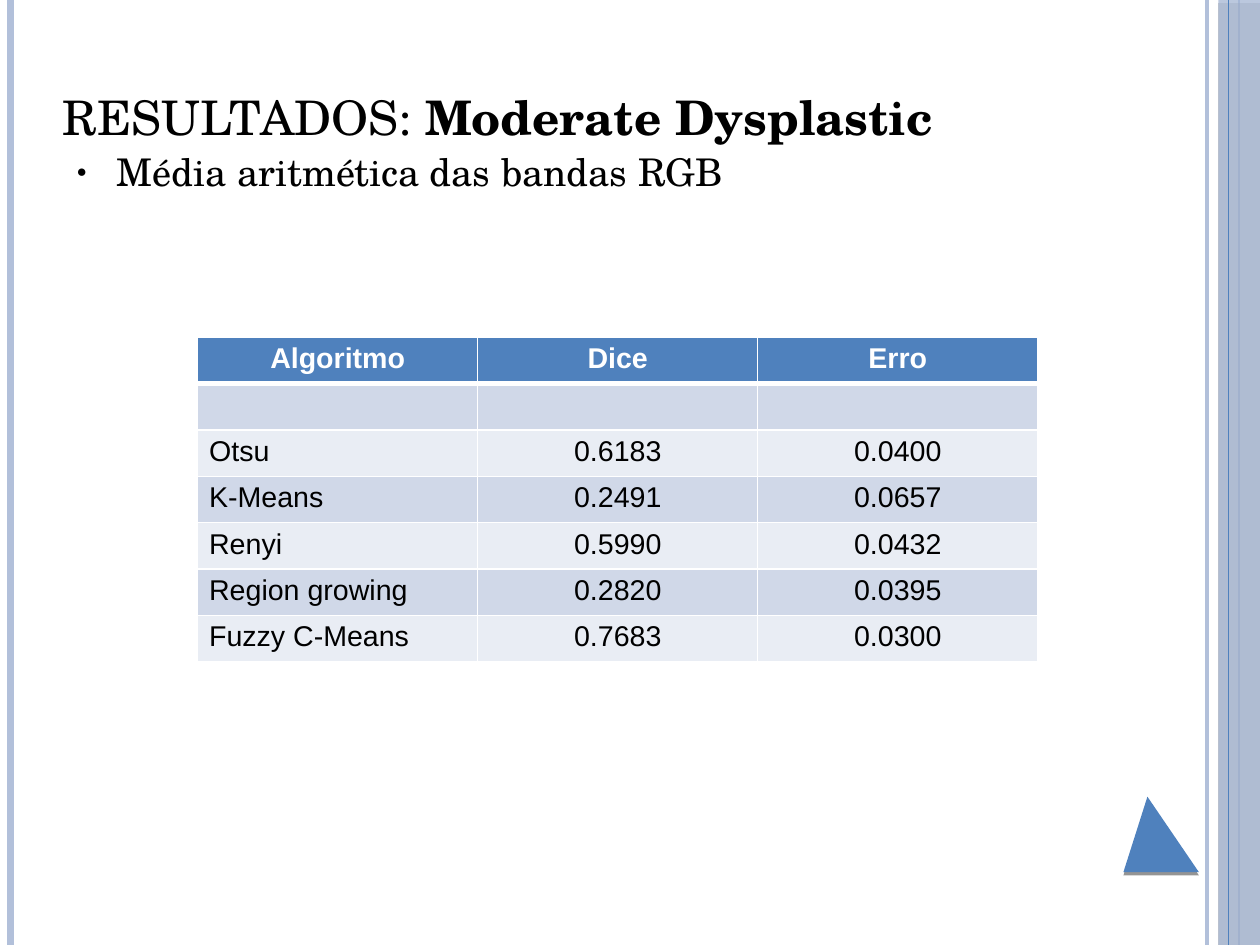
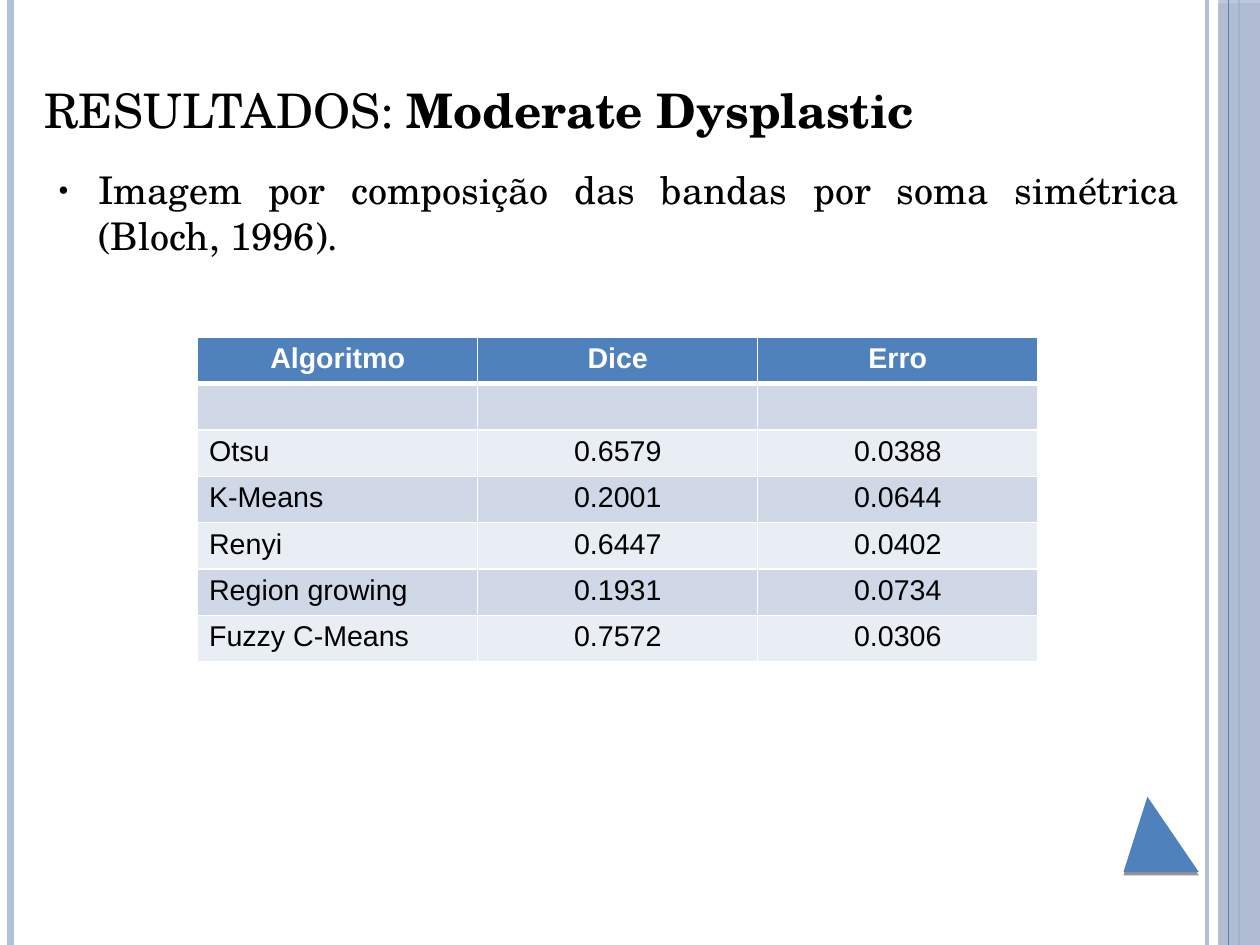
from dataclasses import dataclass

from lxml import etree
from pptx import Presentation
from pptx import util as u
from pptx.dml.color import RGBColor
from pptx.enum import shapes, text
from pptx.oxml import ns

Inches, Pt = u.Inches, u.Pt


@dataclass(frozen=True)
class Theme:
    accent: str = "4F81BD"
    pale: str = "B2C0DA"
    band_dark: str = "D0D8E8"
    band_light: str = "E9EDF4"
    white: str = "FFFFFF"
    black: str = "000000"
    heading_font: str = "TeX Gyre Schola"
    table_font: str = "Arial"
    title_size: float = 30
    body_size: float = 24
    table_size: float = 18


@dataclass(frozen=True)
class Rule:
    x: float
    color: str
    weight: float


@dataclass(frozen=True)
class Result:
    algorithm: str
    dice: str
    error: str


@dataclass(frozen=True)
class ResultPage:
    left: float
    title_top: float
    body_top: float
    subject: str
    results: tuple[Result, ...]


THEME = Theme()
PAGE_WIDTH, PAGE_HEIGHT = u.Emu(10080625), u.Emu(7559675)
TEXT_WIDTH, TEXT_HEIGHT = 9.92, 1.38
TABLE_LEFT, TABLE_TOP, TABLE_WIDTH, TABLE_HEIGHT = 1.73, 2.95, 7.35, 2.84
HEADER = ("Algoritmo", "Dice", "Erro")
BACK_RULES = (
    Rule(10.56, THEME.pale, 3),
    Rule(0.09, THEME.pale, 4.5),
    Rule(10.84, THEME.accent, 1.5),
)
FRONT_RULE = Rule(10.75, THEME.accent, 0.75)
TRIANGLE = ((9.83, 7.63), (10.49, 7.63), (10.04, 6.97))

PAGES = (
    ResultPage(0.55, 0.33, 1.3, "Média aritmética das bandas RGB", (
        Result("Otsu", "0.6183", "0.0400"),
        Result("K-Means", "0.2491", "0.0657"),
        Result("Renyi", "0.5990", "0.0432"),
        Result("Region growing", "0.2820", "0.0395"),
        Result("Fuzzy C-Means", "0.7683", "0.0300"),
    )),
    ResultPage(
        0.39, 0.27, 1.46,
        "Imagem por composição das bandas por soma simétrica (Bloch, 1996).", (
            Result("Otsu", "0.6579", "0.0388"),
            Result("K-Means", "0.2001", "0.0644"),
            Result("Renyi", "0.6447", "0.0402"),
            Result("Region growing", "0.1931", "0.0734"),
            Result("Fuzzy C-Means", "0.7572", "0.0306"),
        )),
)


def rgb(color: str) -> RGBColor:
    return RGBColor.from_string(color)


def add_xml(parent, tag: str, **attributes):
    values = {name: str(value) for name, value in attributes.items()}
    return etree.SubElement(parent, ns.qn(tag), values)


def set_font(para, name: str, size: float, color: str, bold: bool = False) -> None:
    para.font.name = name
    para.font.size = Pt(size)
    para.font.bold = bold
    para.font.color.rgb = rgb(color)


def fill_with_shadow(shape, color: str) -> None:
    shape.fill.solid()
    shape.fill.fore_color.rgb = rgb(color)
    shape.line.fill.background()
    shape.shadow.inherit = False
    effects = shape.element.spPr.find(ns.qn("a:effectLst"))
    shadow = add_xml(effects, "a:outerShdw", blurRad=0, dist=Pt(2),
                     dir=5400000, rotWithShape=0)
    tint = add_xml(shadow, "a:srgbClr", val=THEME.black)
    add_xml(tint, "a:alpha", val=41000)


def add_rule(page, rule: Rule) -> None:
    line = page.shapes.add_connector(
        shapes.MSO_CONNECTOR.STRAIGHT,
        Inches(rule.x), Inches(0), Inches(rule.x), PAGE_HEIGHT)
    line.line.color.rgb = rgb(rule.color)
    line.line.width = Pt(rule.weight)
    add_xml(line.element.spPr, "a:effectLst")


def add_frame(page) -> None:
    for rule in BACK_RULES:
        add_rule(page, rule)
    strip = page.shapes.add_shape(
        shapes.MSO_SHAPE.RECTANGLE,
        Inches(10.66), Inches(0), Inches(0.37), PAGE_HEIGHT)
    fill_with_shadow(strip, THEME.pale)
    tint = strip.element.spPr.find(ns.qn("a:solidFill"))[0]
    add_xml(tint, "a:alpha", val=87000)
    add_rule(page, FRONT_RULE)
    start, *corners = [(Inches(x), Inches(y)) for x, y in TRIANGLE]
    builder = page.shapes.build_freeform(*start)
    builder.add_line_segments(corners)
    fill_with_shadow(builder.convert_to_shape(), THEME.accent)


def add_text_box(page, left: float, top: float, anchor):
    box = page.shapes.add_textbox(
        Inches(left), Inches(top), Inches(TEXT_WIDTH), Inches(TEXT_HEIGHT))
    frame = box.text_frame
    frame.word_wrap = True
    frame.vertical_anchor = anchor
    frame.margin_left = frame.margin_right = Inches(0)
    frame.margin_top = frame.margin_bottom = Inches(0)
    return frame.paragraphs[0]


def add_title(page, left: float, top: float) -> None:
    para = add_text_box(page, left, top, text.MSO_ANCHOR.MIDDLE)
    set_font(para, THEME.heading_font, THEME.title_size, THEME.black)
    para.add_run().text = "RESULTADOS: "
    span = para.add_run()
    span.text = "Moderate Dysplastic"
    span.font.bold = True


def add_subject(page, left: float, top: float, subject: str) -> None:
    para = add_text_box(page, left, top, text.MSO_ANCHOR.TOP)
    para.alignment = text.PP_ALIGN.JUSTIFY
    para.add_run().text = subject
    properties = para._p.get_or_add_pPr()
    properties.set("marL", str(Inches(0.47)))
    properties.set("indent", str(Inches(-0.35)))
    bullet_color = add_xml(properties, "a:buClr")
    add_xml(bullet_color, "a:srgbClr", val=THEME.black)
    add_xml(properties, "a:buSzPct", val=45000)
    add_xml(properties, "a:buFont", typeface=THEME.table_font)
    add_xml(properties, "a:buChar", char="●")
    set_font(para, THEME.heading_font, THEME.body_size, THEME.black)


def set_borders(cell, top: float, bottom: float) -> None:
    properties = cell._tc.get_or_add_tcPr()
    weights = {"a:lnL": 1, "a:lnR": 1, "a:lnT": top, "a:lnB": bottom}
    for tag, weight in weights.items():
        border = add_xml(properties, tag, w=Pt(weight))
        fill = add_xml(border, "a:solidFill")
        add_xml(fill, "a:srgbClr", val=THEME.white)


def add_results(page, results: tuple[Result, ...]) -> None:
    rows = [HEADER, ("",) * len(HEADER)]
    rows += [(item.algorithm, item.dice, item.error) for item in results]
    table = page.shapes.add_table(
        len(rows), len(HEADER), Inches(TABLE_LEFT), Inches(TABLE_TOP),
        Inches(TABLE_WIDTH), Inches(TABLE_HEIGHT)).table
    table.horz_banding = False
    for row_index, row in enumerate(rows):
        is_header = row_index == 0
        band = THEME.band_dark if row_index % 2 else THEME.band_light
        for column_index, value in enumerate(row):
            cell = table.cell(row_index, column_index)
            set_borders(cell, 3 if row_index == 1 else 1, 3 if is_header else 1)
            cell.fill.solid()
            cell.fill.fore_color.rgb = rgb(THEME.accent if is_header else band)
            cell.text = value
            para = cell.text_frame.paragraphs[0]
            centred = is_header or column_index > 0
            para.alignment = (
                text.PP_ALIGN.CENTER if centred else text.PP_ALIGN.LEFT)
            set_font(para, THEME.table_font, THEME.table_size,
                     THEME.white if is_header else THEME.black, is_header)


def main() -> None:
    deck = Presentation()
    deck.slide_width = PAGE_WIDTH
    deck.slide_height = PAGE_HEIGHT
    for content in PAGES:
        page = deck.slides.add_slide(deck.slide_layouts[6])
        add_frame(page)
        add_title(page, content.left, content.title_top)
        add_subject(page, content.left, content.body_top, content.subject)
        add_results(page, content.results)
    deck.save("out.pptx")


if __name__ == "__main__":
    main()
